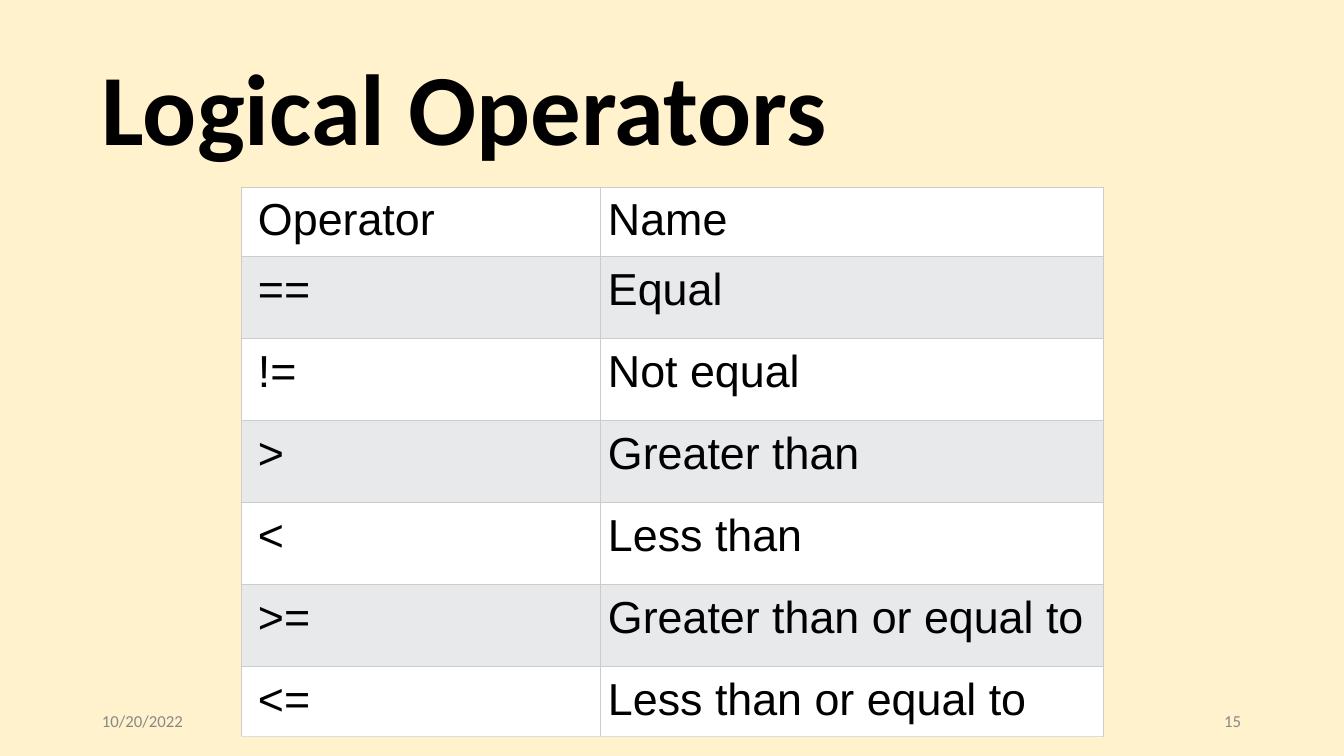
from dataclasses import dataclass

from lxml import etree
from pptx import Presentation
from pptx import util as u
from pptx.dml.color import RGBColor
from pptx.enum import text
from pptx.oxml.ns import qn

TITLE = "Logical Operators"
OPERATORS = [
    ("Operator", "Name"),
    ("==", "Equal"),
    ("!=", "Not equal"),
    (">", "Greater than"),
    ("<", "Less than"),
    (">=", "Greater than or equal to"),
    ("<=", "Less than or equal to"),
]
DATE = "10/20/2022"
PAGE = "15"


@dataclass(frozen=True)
class Theme:
    background: str = "FFF2CC"
    ink: str = "000000"
    muted: str = "888888"
    bands: tuple = ("FFFFFF", "E7E9EB")
    grid: str = "CCCCCC"
    bottom_edge: str = "DDDDDD"
    heading_font: str = "Calibri"
    table_font: str = "Arial"
    title_size: int = 72
    table_size: int = 32
    footer_size: int = 12
    grid_width: float = 0.75


THEME = Theme()
SLIDE_SIZE = (1344, 756)
TITLE_BOX = (92, 40, 1159, 146)
TABLE_AT = (241, 187)
COLUMNS = (359, 503)
EDGE_ROW, MIDDLE_ROW = 67, 82
CELL_INSET, FIRST_INSET = 8, 17
FOOTER_TOP, FOOTER_WIDTH, FOOTER_HEIGHT = 701, 302, 40


def px(length):
    return u.Emu(round(length * 914400 / 100.8))


def write(frame, words, *, size, font=THEME.heading_font, color=THEME.ink,
          bold=False, align=text.PP_ALIGN.LEFT, spacing=1.0):
    paragraph = frame.paragraphs[0]
    paragraph.alignment = align
    paragraph.line_spacing = spacing
    run = paragraph.add_run()
    run.text = words
    run.font.size = u.Pt(size)
    run.font.name = font
    run.font.bold = bold
    run.font.color.rgb = RGBColor.from_string(color)


def add_label(slide, box, words, **style):
    frame = slide.shapes.add_textbox(*map(px, box)).text_frame
    frame.word_wrap = True
    frame.vertical_anchor = text.MSO_ANCHOR.MIDDLE
    write(frame, words, **style)


def draw_borders(cell, bottom_color):
    properties = cell._tc.get_or_add_tcPr()
    edges = (("lnL", THEME.grid), ("lnR", THEME.grid),
             ("lnT", THEME.grid), ("lnB", bottom_color))
    for position, (edge, color) in enumerate(edges):
        line = etree.Element(qn(f"a:{edge}"), w=str(u.Pt(THEME.grid_width)))
        fill = etree.SubElement(line, qn("a:solidFill"))
        etree.SubElement(fill, qn("a:srgbClr"), val=color)
        properties.insert(position, line)


def add_operators(slide):
    last = len(OPERATORS) - 1
    heights = [EDGE_ROW if row in (0, last) else MIDDLE_ROW
               for row in range(len(OPERATORS))]
    box = (*TABLE_AT, sum(COLUMNS), sum(heights))
    table = slide.shapes.add_table(
        len(OPERATORS), len(COLUMNS), *map(px, box)).table
    for column, width in zip(table.columns, COLUMNS):
        column.width = px(width)
    for row, entries in enumerate(OPERATORS):
        table.rows[row].height = px(heights[row])
        for column, words in enumerate(entries):
            cell = table.cell(row, column)
            cell.margin_left = px(CELL_INSET if column else FIRST_INSET)
            cell.margin_right = cell.margin_top = cell.margin_bottom = px(CELL_INSET)
            cell.vertical_anchor = text.MSO_ANCHOR.TOP
            cell.fill.solid()
            cell.fill.fore_color.rgb = RGBColor.from_string(THEME.bands[row % 2])
            draw_borders(cell, THEME.bottom_edge if row == last else THEME.grid)
            write(cell.text_frame, words, size=THEME.table_size, font=THEME.table_font)


def main():
    deck = Presentation()
    deck.slide_width, deck.slide_height = map(px, SLIDE_SIZE)
    slide = deck.slides.add_slide(deck.slide_layouts[6])
    slide.background.fill.solid()
    slide.background.fill.fore_color.rgb = RGBColor.from_string(THEME.background)

    add_label(slide, TITLE_BOX, TITLE, size=THEME.title_size, bold=True, spacing=0.9)
    add_operators(slide)

    left, _, width, _ = TITLE_BOX
    footers = (
        (DATE, left, text.PP_ALIGN.LEFT),
        (PAGE, left + width - FOOTER_WIDTH, text.PP_ALIGN.RIGHT),
    )
    for words, x, align in footers:
        add_label(slide, (x, FOOTER_TOP, FOOTER_WIDTH, FOOTER_HEIGHT), words,
                  size=THEME.footer_size, color=THEME.muted, align=align)
    deck.save("out.pptx")


if __name__ == "__main__":
    main()
